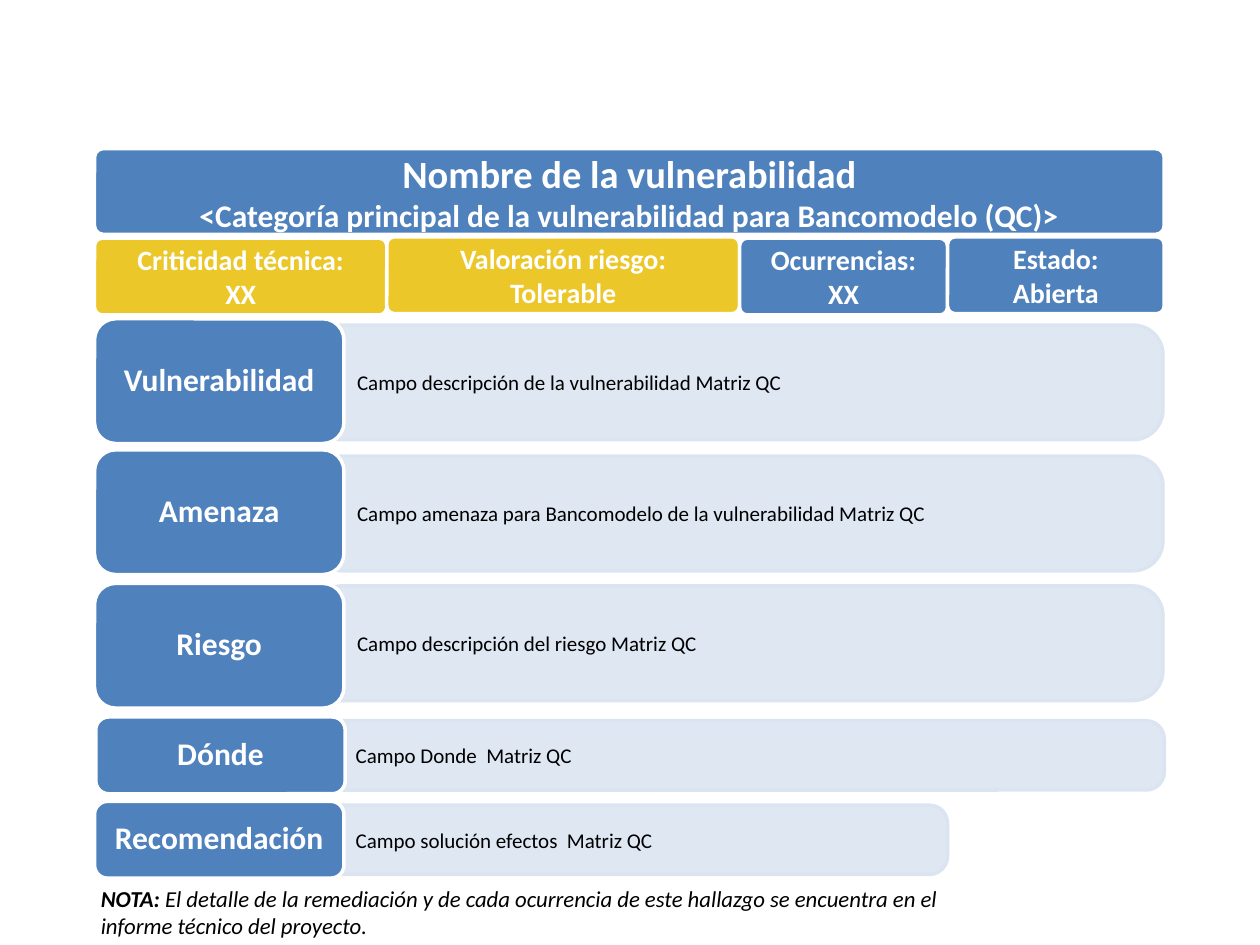
from dataclasses import dataclass

from lxml.etree import SubElement
from pptx import Presentation
from pptx.dml.color import RGBColor
from pptx.enum.shapes import MSO_SHAPE
from pptx.enum.text import MSO_ANCHOR, MSO_AUTO_SIZE, PP_ALIGN
from pptx.oxml.ns import qn
from pptx.util import Inches, Pt


@dataclass(frozen=True)
class Theme:
    font: str = "Calibri"
    blue: RGBColor = RGBColor(0x4F, 0x81, 0xBD)
    yellow: RGBColor = RGBColor(0xEB, 0xC2, 0x14)
    pale: RGBColor = RGBColor(0xDB, 0xE5, 0xF1)
    white: RGBColor = RGBColor(0xFF, 0xFF, 0xFF)
    black: RGBColor = RGBColor(0, 0, 0)
    title_size: int = 22
    label_size: int = 18
    card_size: int = 16
    note_size: int = 13
    field_size: int = 12
    line_width: int = 2


@dataclass(frozen=True)
class Box:
    left: float
    top: float
    width: float
    height: float

    def lengths(self):
        return [Inches(n) for n in (self.left, self.top, self.width, self.height)]


@dataclass(frozen=True)
class Card:
    box: Box
    lines: tuple[str, str]
    color: RGBColor
    opacity: int = 100


@dataclass(frozen=True)
class Row:
    label: str
    label_box: Box
    field: str
    field_box: Box


THEME = Theme()
TITLE_BOX = Box(0.75, 1.18, 8.49, 0.68)
TITLE_LINES = (
    "Nombre de la vulnerabilidad",
    "<Categoría principal de la vulnerabilidad para Bancomodelo (QC)>",
)
CARDS = [
    Card(Box(0.75, 1.89, 2.32, 0.61), ("Criticidad técnica:", "XX"), THEME.yellow, 91),
    Card(Box(3.07, 1.88, 2.8, 0.61), ("Valoración riesgo:", "Tolerable"), THEME.yellow, 91),
    Card(Box(5.87, 1.89, 1.65, 0.61), ("Ocurrencias:", "XX"), THEME.blue),
    Card(Box(7.52, 1.88, 1.72, 0.61), ("Estado:", "Abierta"), THEME.blue),
]
ROWS = [
    Row("Vulnerabilidad", Box(0.75, 2.53, 1.98, 0.99),
        "Campo descripción de la vulnerabilidad Matriz QC", Box(2.53, 2.58, 6.7, 0.91)),
    Row("Amenaza", Box(0.75, 3.57, 1.98, 0.99),
        "Campo amenaza para Bancomodelo de la vulnerabilidad Matriz QC",
        Box(2.53, 3.62, 6.7, 0.91)),
    Row("Riesgo", Box(0.75, 4.63, 1.98, 0.99),
        "Campo descripción del riesgo Matriz QC", Box(2.53, 4.65, 6.7, 0.91)),
    Row("Dónde", Box(0.76, 5.69, 1.98, 0.61),
        "Campo Donde  Matriz QC", Box(2.54, 5.72, 6.7, 0.55)),
    Row("Recomendación", Box(0.75, 6.36, 1.98, 0.61),
        "Campo solución efectos  Matriz QC", Box(2.54, 6.39, 4.98, 0.55)),
]
NOTE_BOX = Box(0.71, 6.97, 6.86, 0.68)
NOTE_RUNS = (
    ("NOTA: ", True),
    ("El detalle de la remediación y de cada ocurrencia de este hallazgo "
     "se encuentra en el informe técnico del proyecto.", False),
)


def paint(shape, fill: RGBColor, line: RGBColor, opacity: int = 100) -> None:
    shape.fill.solid()
    shape.fill.fore_color.rgb = fill
    if opacity < 100:
        color = shape.fill._xPr.find(qn("a:solidFill"))[0]
        SubElement(color, qn("a:alpha"), val=str(opacity * 1000))
    shape.line.color.rgb = line
    shape.line.width = Pt(THEME.line_width)


def write(shape, lines: list[tuple[str, int]], color: RGBColor, insets: tuple[float, float],
          bold: bool = True, align: PP_ALIGN = PP_ALIGN.CENTER, spacing: float = 1.0) -> None:
    """Fill a shape with (text, size) lines; insets are horizontal and vertical."""
    frame = shape.text_frame
    frame.word_wrap = True
    frame.auto_size = MSO_AUTO_SIZE.NONE
    frame.vertical_anchor = MSO_ANCHOR.MIDDLE
    frame.margin_left = frame.margin_right = Inches(insets[0])
    frame.margin_top = frame.margin_bottom = Inches(insets[1])
    for index, (text, size) in enumerate(lines):
        paragraph = frame.add_paragraph() if index else frame.paragraphs[0]
        paragraph.text = text
        paragraph.alignment = align
        paragraph.line_spacing = spacing
        font = paragraph.font
        font.name, font.size, font.bold = THEME.font, Pt(size), bold
        font.color.rgb = color


def add_rounded(slide, box: Box, rounding: float):
    shape = slide.shapes.add_shape(MSO_SHAPE.ROUNDED_RECTANGLE, *box.lengths())
    shape.shadow.inherit = False
    shape.adjustments[0] = rounding
    return shape


def draw_title(slide) -> None:
    """Put the title placeholder in front of a rounded banner."""
    banner = add_rounded(slide, TITLE_BOX, 0.1)
    paint(banner, THEME.blue, THEME.white)
    title = slide.shapes.title
    banner._element.addnext(title._element)
    title.left, title.top, title.width, title.height = TITLE_BOX.lengths()
    sizes = (THEME.title_size, THEME.label_size)
    write(title, list(zip(TITLE_LINES, sizes)), THEME.white, (0.09, 0.09))


def draw_card(slide, card: Card) -> None:
    shape = add_rounded(slide, card.box, 0.1)
    paint(shape, card.color, THEME.white, card.opacity)
    write(shape, [(line, THEME.card_size) for line in card.lines], THEME.white, (0.09, 0.09))


def draw_field(slide, text: str, box: Box) -> None:
    """Turn the shape a quarter so its rounded end faces right, with level text."""
    shift = (box.width - box.height) / 2
    upright = Box(box.left + shift, box.top - shift, box.height, box.width)
    shape = slide.shapes.add_shape(MSO_SHAPE.ROUND_2_SAME_RECTANGLE, *upright.lengths())
    shape.shadow.inherit = False
    shape.rotation = 90
    shape.adjustments[0], shape.adjustments[1] = 0.26, 0.2
    paint(shape, THEME.pale, THEME.pale, 90)
    # The insets turn with the shape: the vertical one is the gap left of the text.
    write(shape, [(text, THEME.field_size)], THEME.black, (0.12, 0.25),
          bold=False, align=PP_ALIGN.LEFT)
    shape.text_frame._txBody.bodyPr.set("vert", "vert270")


def draw_row(slide, row: Row) -> None:
    draw_field(slide, row.field, row.field_box)
    label = add_rounded(slide, row.label_box, 0.17)
    paint(label, THEME.blue, THEME.white)
    write(label, [(row.label, THEME.label_size)], THEME.white, (0.07, 0.04), spacing=0.9)


def draw_note(slide) -> None:
    frame = slide.shapes.add_textbox(*NOTE_BOX.lengths()).text_frame
    frame.word_wrap = True
    frame.margin_left = frame.margin_right = Inches(0.09)
    paragraph = frame.paragraphs[0]
    font = paragraph.font
    font.name, font.size, font.italic = THEME.font, Pt(THEME.note_size), True
    font.color.rgb = THEME.black
    for text, bold in NOTE_RUNS:
        run = paragraph.add_run()
        run.text = text
        run.font.bold = bold


def main() -> None:
    presentation = Presentation()
    presentation.slide_width, presentation.slide_height = Inches(10), Inches(7.5)
    slide = presentation.slides.add_slide(presentation.slide_layouts[5])
    draw_title(slide)
    for row in ROWS:
        draw_row(slide, row)
    draw_note(slide)
    for card in CARDS:
        draw_card(slide, card)
    presentation.save("out.pptx")


if __name__ == "__main__":
    main()
